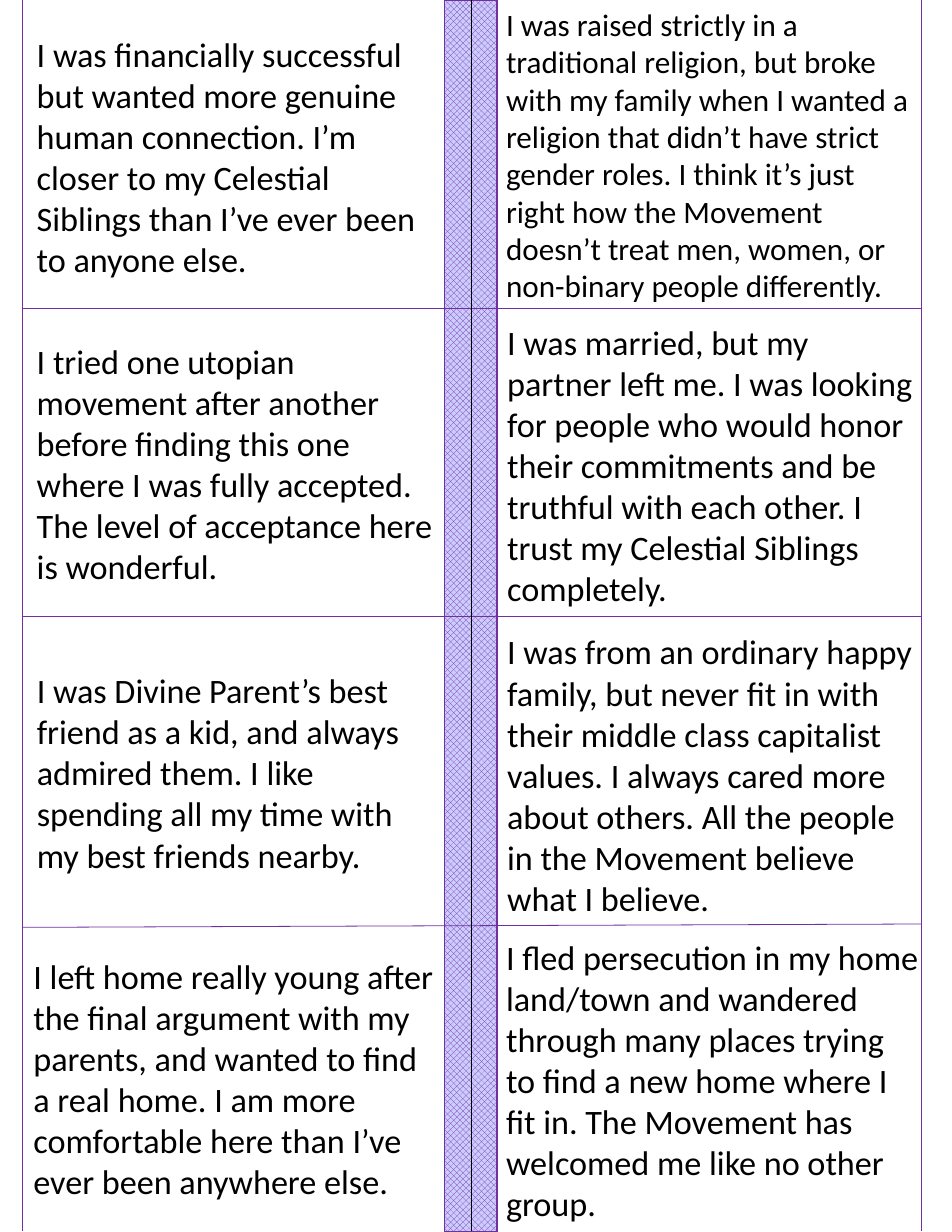
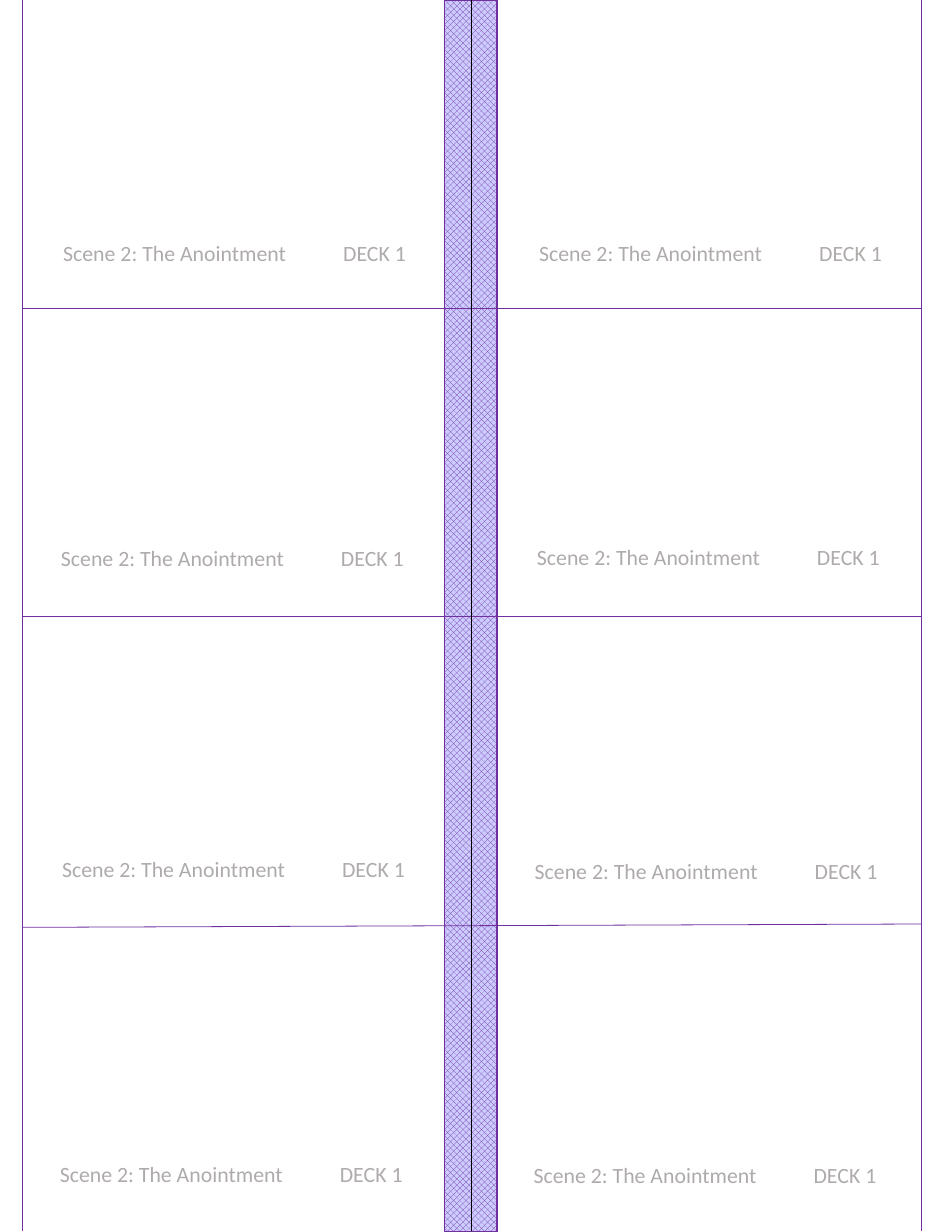
from typing import NamedTuple

from lxml.etree import SubElement
from pptx import Presentation
from pptx.dml.color import RGBColor
from pptx.enum.dml import MSO_PATTERN
from pptx.enum.shapes import MSO_CONNECTOR, MSO_SHAPE
from pptx.enum.text import MSO_ANCHOR, PP_ALIGN
from pptx.oxml.ns import qn
from pptx.slide import Slide
from pptx.util import Inches, Pt

PAGE_WIDTH, PAGE_HEIGHT = 8.5, 11
ROW = PAGE_HEIGHT / 4
COLUMNS = (0.2, 4.42)
EDGE_LEFT, FOLD, EDGE_RIGHT = 0.2, 4.21, 8.23
EDGE_BOTTOM = 10.99
SPINE_LEFT, SPINE_WIDTH = 3.97, 0.47
FONT = "Calibri"
PURPLE, LAVENDER, BLACK, GRAY = "7030A0", "CCCCFF", "000000", "AFABAB"


class Place(NamedTuple):
    column: int
    row: int
    dx: float
    dy: float
    width: float = 3.67
    height: float = 2.65


class Story(NamedTuple):
    place: Place
    words: str
    size: int = 22


class Rule(NamedTuple):
    x1: float
    y1: float
    x2: float
    y2: float
    color: str = PURPLE


RULES = [
    Rule(EDGE_LEFT, ROW, EDGE_RIGHT, ROW),
    Rule(EDGE_LEFT, 2 * ROW, EDGE_RIGHT, 2 * ROW),
    Rule(EDGE_LEFT, 3 * ROW + 0.03, EDGE_RIGHT, 3 * ROW),
    Rule(EDGE_LEFT, 0, EDGE_LEFT, EDGE_BOTTOM),
    Rule(EDGE_RIGHT, 0, EDGE_RIGHT, EDGE_BOTTOM),
    Rule(FOLD, 0, FOLD, EDGE_BOTTOM, BLACK),
]

STORIES = [
    Story(Place(0, 0, 0.03, 0.07, 3.76, 2.65),
          "I was financially successful but wanted more genuine human connection. "
          "I’m closer to my Celestial Siblings than I’ve ever been to anyone else."),
    Story(Place(1, 0, 0, 0.02, 3.84, 2.72),
          "I was raised strictly in a traditional religion, but broke with my family "
          "when I wanted a religion that didn’t have strict gender roles. I think it’s "
          "just right how the Movement doesn’t treat men, women, or non-binary people "
          "differently.", 20),
    Story(Place(0, 1, 0.03, 0.03, 3.77, 2.71),
          "I tried one utopian movement after another before finding this one where "
          "I was fully accepted. The level of acceptance here is wonderful."),
    Story(Place(1, 1, 0.01, 0.06, 3.84, 2.68),
          "I was married, but my partner left me. I was looking for people who would "
          "honor their commitments and be truthful with each other. I trust my "
          "Celestial Siblings completely."),
    Story(Place(0, 2, 0.03, 0.06, 3.71, 2.67),
          "I was Divine Parent’s best friend as a kid, and always admired them. "
          "I like spending all my time with my best friends nearby."),
    Story(Place(1, 2, 0.01, 0.06, 3.84, 2.71),
          "I was from an ordinary happy family, but never fit in with their middle "
          "class capitalist values. I always cared more about others. All the people "
          "in the Movement believe what I believe."),
    Story(Place(0, 3, 0, 0.04, 3.8, 2.68),
          "I left home really young after the final argument with my parents, and "
          "wanted to find a real home. I am more comfortable here than I’ve ever been "
          "anywhere else."),
    Story(Place(1, 3, 0, 0.08, 3.88, 2.62),
          "I fled persecution in my home land/town and wandered through many places "
          "trying to find a new home where I fit in. The Movement has welcomed me "
          "like no other group."),
]

CARD_BACK = "Scene 2: The Anointment\t\tDECK 1"
BACK_PLACES = [
    Place(0, 0, 0.06, 0.07), Place(1, 0, 0.09, 0.07),
    Place(0, 1, 0.04, 0.05), Place(1, 1, 0.07, 0.04),
    Place(0, 2, 0.05, 0.07), Place(1, 2, 0.05, 0.09),
    Place(0, 3, 0.03, 0.05), Place(1, 3, 0.04, 0.06),
]


def rgb(color: str) -> RGBColor:
    return RGBColor.from_string(color)


def draw_spine(slide: Slide) -> None:
    spine = slide.shapes.add_shape(MSO_SHAPE.RECTANGLE, Inches(SPINE_LEFT), 0,
                                   Inches(SPINE_WIDTH), Inches(PAGE_HEIGHT))
    spine.shadow.inherit = False
    spine.fill.patterned()
    spine.fill.pattern = MSO_PATTERN.SOLID_DIAMOND
    spine.fill.fore_color.rgb = rgb(PURPLE)
    spine.fill.back_color.rgb = rgb(LAVENDER)
    spine.line.color.rgb = rgb(PURPLE)
    spine.line.width = Pt(1)


def draw_rule(slide: Slide, rule: Rule) -> None:
    line = slide.shapes.add_connector(MSO_CONNECTOR.STRAIGHT, Inches(rule.x1), Inches(rule.y1),
                                      Inches(rule.x2), Inches(rule.y2))
    line.line.color.rgb = rgb(rule.color)
    line.line.width = Pt(0.5)
    SubElement(line._element.spPr, qn("a:effectLst"))


def draw_words(slide: Slide, place: Place, words: str, size: int, color: str,
               anchor: MSO_ANCHOR, align: PP_ALIGN, bottom: float = 0.05) -> None:
    frame = slide.shapes.add_textbox(
        Inches(COLUMNS[place.column] + place.dx), Inches(place.row * ROW + place.dy),
        Inches(place.width), Inches(place.height)).text_frame
    frame.word_wrap = True
    frame.vertical_anchor = anchor
    frame.margin_bottom = Inches(bottom)
    paragraph = frame.paragraphs[0]
    paragraph.text = words
    paragraph.alignment = align
    paragraph.font.name = FONT
    paragraph.font.size = Pt(size)
    paragraph.font.color.rgb = rgb(color)


def add_card_sheet(deck: Presentation) -> Slide:
    slide = deck.slides.add_slide(deck.slide_layouts[6])
    draw_spine(slide)
    for rule in RULES:
        draw_rule(slide, rule)
    return slide


def main() -> None:
    deck = Presentation()
    deck.slide_width, deck.slide_height = Inches(PAGE_WIDTH), Inches(PAGE_HEIGHT)

    fronts = add_card_sheet(deck)
    for story in STORIES:
        draw_words(fronts, story.place, story.words, story.size, BLACK,
                   MSO_ANCHOR.MIDDLE, PP_ALIGN.LEFT)

    backs = add_card_sheet(deck)
    for place in BACK_PLACES:
        draw_words(backs, place, CARD_BACK, 14, GRAY,
                   MSO_ANCHOR.BOTTOM, PP_ALIGN.CENTER, bottom=0.35)

    deck.save("out.pptx")


if __name__ == "__main__":
    main()
